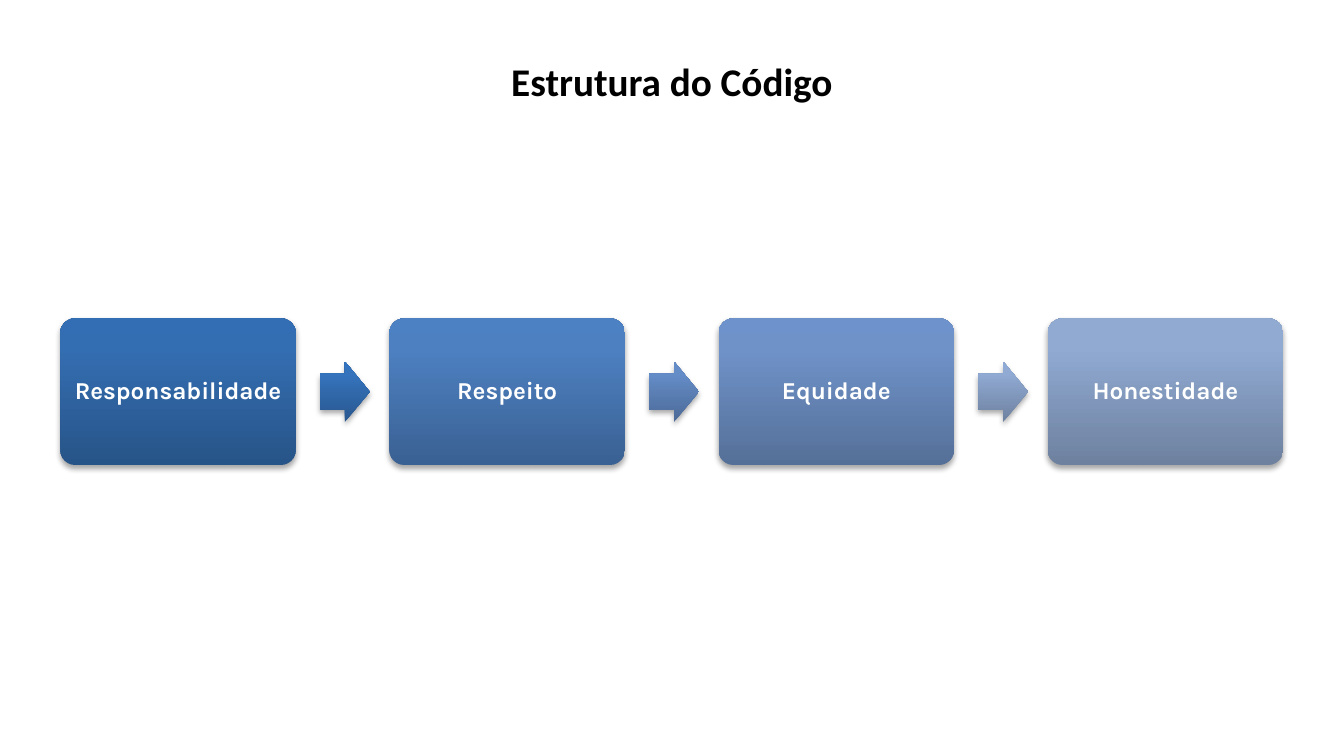
"""Build a slide with four values joined by arrows."""
from copy import deepcopy
from dataclasses import dataclass

from lxml import etree
from pptx import Presentation
from pptx import util as u
from pptx.dml.color import RGBColor
from pptx.enum import shapes, text
from pptx.oxml.ns import qn

PITCH = 6.22
BOX_LEFT, BOX_TOP, BOX_WIDTH, BOX_HEIGHT = 1.14, 6.02, 4.45, 2.77
ARROW_LEFT, ARROW_WIDTH, ARROW_HEIGHT = 6.05, 0.94, 1.14
ARROW_TOP = BOX_TOP + (BOX_HEIGHT - ARROW_HEIGHT) / 2
STOPS = (0, 0.8, 1)


@dataclass(frozen=True)
class Step:
    label: str
    box_colors: tuple[str, str, str]
    arrow_colors: tuple[str, ...] = ()


STEPS = (
    Step("Responsabilidade", ("275488", "346EB2", "336EB5"), ("29578F", "3574BD", "3374C1")),
    Step("Respeito", ("3A6193", "4D80C1", "4C81C4"), ("4C6A97", "648CC7", "628CCA")),
    Step("Equidade", ("557098", "6F92C9", "6E93CC"), ("6E81A0", "90AAD3", "8FAAD6")),
    Step("Honestidade", ("6E819F", "90AAD2", "90ABD4")),
)


def color(value: str) -> RGBColor:
    return RGBColor.from_string(value)


def set_gradient(shape, colors: tuple[str, ...]) -> None:
    shape.fill.gradient()
    shape.fill.gradient_angle = 90
    stop_list = next(shape.element.spPr.iter(qn("a:gsLst")))
    stop_list.append(deepcopy(stop_list[-1]))
    for stop, position, value in zip(shape.fill.gradient_stops, STOPS, colors):
        stop.position = position
        stop.color.rgb = color(value)


def add_shadow(shape) -> None:
    shape.shadow.inherit = False
    effects = shape.element.spPr.find(qn("a:effectLst"))
    shadow = etree.SubElement(
        effects, qn("a:outerShdw"), blurRad=str(u.Pt(3.1)), dist=str(u.Pt(1.8)),
        dir="5400000", rotWithShape="0")
    shade = etree.SubElement(shadow, qn("a:srgbClr"), val="000000")
    etree.SubElement(shade, qn("a:alpha"), val="35000")


def add_block(page, kind, left: float, top: float, width: float, height: float,
              adjustments: tuple[float, ...], colors: tuple[str, ...]):
    block = page.shapes.add_shape(kind, u.Cm(left), u.Cm(top), u.Cm(width), u.Cm(height))
    for index, value in enumerate(adjustments):
        block.adjustments[index] = value
    set_gradient(block, colors)
    block.line.fill.background()
    add_shadow(block)
    return block


def write(shape, content: str, font: str, size: float, value: str,
          inset_x: float, inset_y: float, spacing: float) -> None:
    frame = shape.text_frame
    frame.word_wrap = True
    frame.auto_size = text.MSO_AUTO_SIZE.NONE
    frame.vertical_anchor = text.MSO_ANCHOR.MIDDLE
    frame.margin_left = frame.margin_right = u.Cm(inset_x)
    frame.margin_top = frame.margin_bottom = u.Cm(inset_y)
    para = frame.paragraphs[0]
    para.alignment = text.PP_ALIGN.CENTER
    para.line_spacing = spacing
    span = para.add_run()
    span.text = content
    span.font.name = font
    span.font.size = u.Pt(size)
    span.font.bold = True
    span.font.color.rgb = color(value)


def add_title(page, content: str) -> None:
    title = page.shapes.title
    title.left, title.top = u.Cm(0), u.Cm(0.91)
    title.width, title.height = u.Cm(25.4), u.Cm(1.22)
    write(title, content, "Calibri", 21, "000000", 0.3, 0.15, 1.0)


def add_step(page, step: Step, offset: float) -> None:
    box = add_block(page, shapes.MSO_SHAPE.ROUNDED_RECTANGLE, BOX_LEFT + offset, BOX_TOP,
                    BOX_WIDTH, BOX_HEIGHT, (0.1,), step.box_colors)
    write(box, step.label, "Karla", 13, "FFFFFF", 0.12, 0.12, 0.9)
    if step.arrow_colors:
        add_block(page, shapes.MSO_SHAPE.RIGHT_ARROW, ARROW_LEFT + offset, ARROW_TOP,
                  ARROW_WIDTH, ARROW_HEIGHT, (0.6, 0.5), step.arrow_colors)


def main() -> None:
    deck = Presentation()
    deck.slide_width, deck.slide_height = u.Cm(25.4), u.Cm(14.29)
    page = deck.slides.add_slide(deck.slide_layouts[5])
    add_title(page, "Estrutura do Código")
    for index, step in enumerate(STEPS):
        add_step(page, step, index * PITCH)
    deck.save("out.pptx")


if __name__ == "__main__":
    main()
